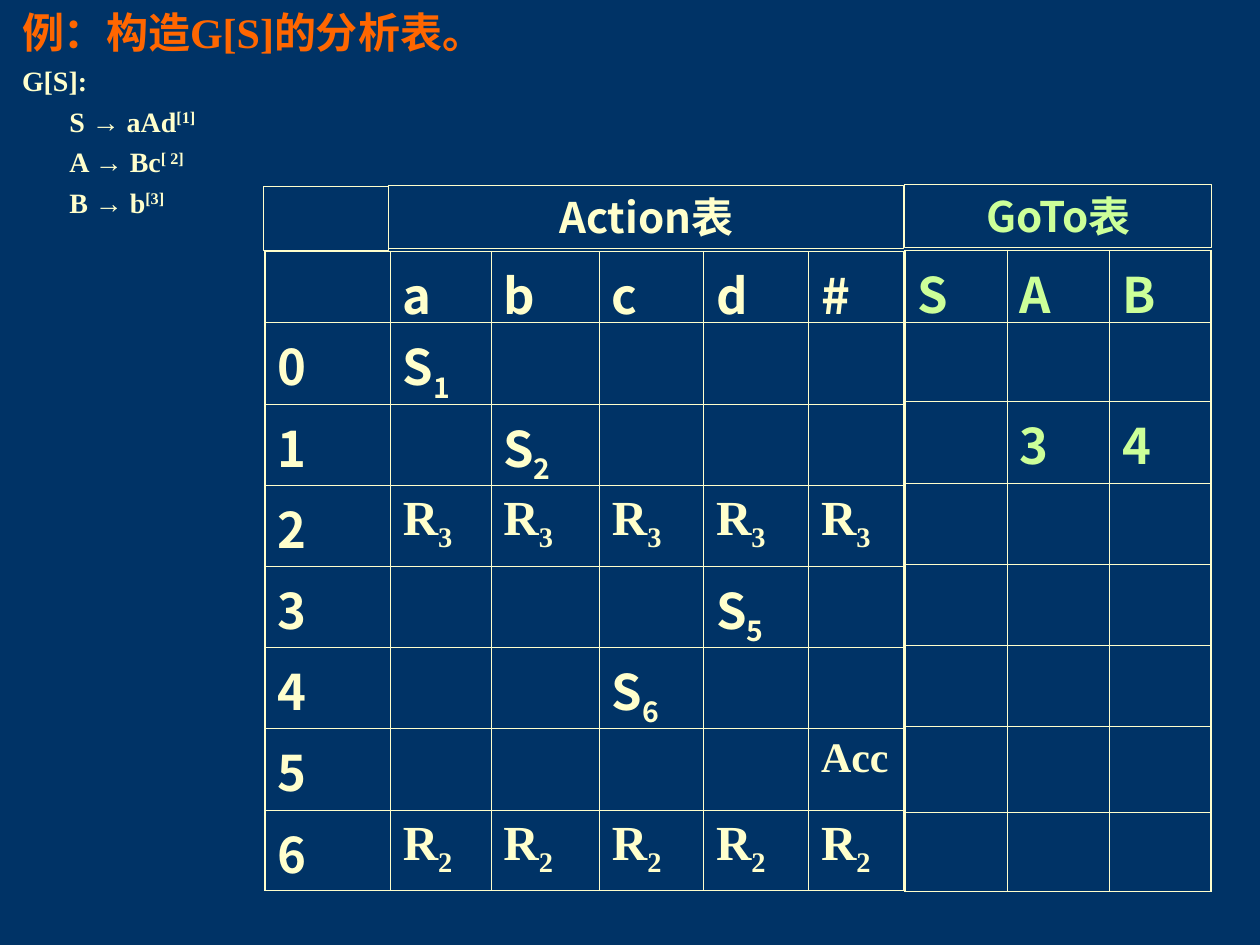
from lxml import etree
from pptx import Presentation
from pptx.dml.color import RGBColor
from pptx.enum import shapes, text
from pptx.oxml.ns import qn
from pptx.util import Pt

NAVY = RGBColor(0x00, 0x33, 0x66)
CREAM = RGBColor(0xFF, 0xFF, 0xCC)
GREEN = RGBColor(0xCC, 0xFF, 0x99)
ORANGE = RGBColor(0xFF, 0x66, 0x00)
SANS, SERIF = "Noto Sans CJK SC", "Times New Roman"

TITLE = "例：构造G[S]的分析表。"
GRAMMAR = [("S → aAd", "[1]"), ("A → Bc", "[ 2]"), ("B → b", "[3]")]
SYMBOLS = ["a", "b", "c", "d", "#"]
ACTIONS = [
    {"a": "S1"},
    {"b": "S2"},
    dict.fromkeys(SYMBOLS, "R3"),
    {"d": "S5"},
    {"c": "S6"},
    {"#": "Acc"},
    dict.fromkeys(SYMBOLS, "R2"),
]
NONTERMINALS = ["S", "A", "B"]
GOTOS = [{}, {"A": "3", "B": "4"}, {}, {}, {}, {}, {}]

HEADERS = [
    ("GoTo表", GREEN, 517, 105.5, 175.5, 36),
    ("Action表", CREAM, 222, 106, 294.5, 36),
    ("", CREAM, 150.5, 106.5, 71.5, 36.5),
]
action_rows = [["", *SYMBOLS]] + [
    [str(n), *(row.get(k, "") for k in SYMBOLS)] for n, row in enumerate(ACTIONS)
]
goto_rows = [NONTERMINALS] + [[row.get(k, "") for k in NONTERMINALS] for row in GOTOS]
TABLES = [
    (goto_rows, GREEN, 517, 143, [58.5, 58.5, 58], [41, 45.5, 46.5, 46.5, 46.5, 46, 49, 45.5]),
    (action_rows, CREAM, 151.5, 143.5, [71.5, 57.5, 62, 59.5, 60, 54.5],
     [41, 46.5, 46.5, 46, 46.5, 46.5, 46.5, 46]),
]
BOTTOM_INSET = -4
THIN, THICK = 0.45, 1.08


def style(p, name, size, color, before):
    p.space_before = Pt(before)
    f = p.font
    f.size, f.bold, f.name = Pt(size), True, name
    f.color.rgb = color
    latin = p._p.pPr.find(qn("a:defRPr")).find(qn("a:latin"))
    ea = etree.Element(qn("a:ea"), typeface=SANS)
    latin.addnext(ea)


def add_run(p, words, baseline=0):
    r = p.add_run()
    r.text = words
    if baseline:
        r.font._element.set("baseline", str(baseline * 1000))


def border(cell, widths):
    pr = cell._tc.get_or_add_tcPr()
    for i, (side, width) in enumerate(zip("LRTB", widths)):
        ln = etree.Element(qn(f"a:ln{side}"), w=str(Pt(width)))
        fill = etree.SubElement(ln, qn("a:solidFill"))
        etree.SubElement(fill, qn("a:srgbClr"), val=str(CREAM))
        pr.insert(i, ln)


def fill_cell(cell, value, color):
    cell.margin_bottom = Pt(BOTTOM_INSET)
    p = cell.text_frame.paragraphs[0]
    reduce = value[:1] == "R"
    style(p, SERIF if reduce or value == "Acc" else SANS,
          24 if value == "Acc" else 28, color, 6 if value == "Acc" else 7)
    if len(value) == 2:
        add_run(p, value[0])
        add_run(p, value[1], -25)
    elif value:
        add_run(p, value)


def add_grid(s, rows, color, left, top, widths, heights):
    frame = s.shapes.add_table(len(rows), len(widths), Pt(left), Pt(top),
                               Pt(sum(widths)), Pt(sum(heights)))
    table = frame.table
    table.first_row = table.horz_banding = False
    for col, width in zip(table.columns, widths):
        col.width = Pt(width)
    for row, height in zip(table.rows, heights):
        row.height = Pt(height)
    for i, values in enumerate(rows):
        for j, value in enumerate(values):
            cell = table.cell(i, j)
            cell.fill.background()
            fill_cell(cell, value, color)
            border(cell, [THICK if j == 0 else THIN,
                          THICK if j == len(widths) - 1 else THIN,
                          THIN,
                          THICK if i == len(rows) - 1 else THIN])


def add_header(s, words, color, *box):
    sp = s.shapes.add_shape(shapes.MSO_SHAPE.RECTANGLE, *map(Pt, box))
    sp.shadow.inherit = False
    sp.fill.background()
    sp.line.color.rgb = CREAM
    sp.line.width = Pt(0.75)
    if words:
        tf = sp.text_frame
        tf.vertical_anchor = text.MSO_ANCHOR.MIDDLE
        p = tf.paragraphs[0]
        p.alignment = text.PP_ALIGN.CENTER
        style(p, SANS, 24, color, 15)
        add_run(p, words)


def add_grammar(s):
    tf = s.shapes.add_textbox(Pt(5.5), Pt(0), Pt(326), Pt(136)).text_frame
    tf.word_wrap = True
    p = tf.paragraphs[0]
    style(p, SERIF, 24, ORANGE, 6)
    add_run(p, TITLE)
    p = tf.add_paragraph()
    style(p, SERIF, 16, CREAM, 4)
    add_run(p, "G[S]:")
    for rule, number in GRAMMAR:
        p = tf.add_paragraph()
        style(p, SERIF, 16, CREAM, 4)
        p._p.pPr.set("marL", str(Pt(27)))
        add_run(p, rule)
        add_run(p, number, 30)


prs = Presentation()
prs.slide_width, prs.slide_height = Pt(720), Pt(540)
s = prs.slides.add_slide(prs.slide_layouts[6])
s.background.fill.solid()
s.background.fill.fore_color.rgb = NAVY
for header in HEADERS:
    add_header(s, *header)
for grid in TABLES:
    add_grid(s, *grid)
add_grammar(s)
prs.save("out.pptx")
